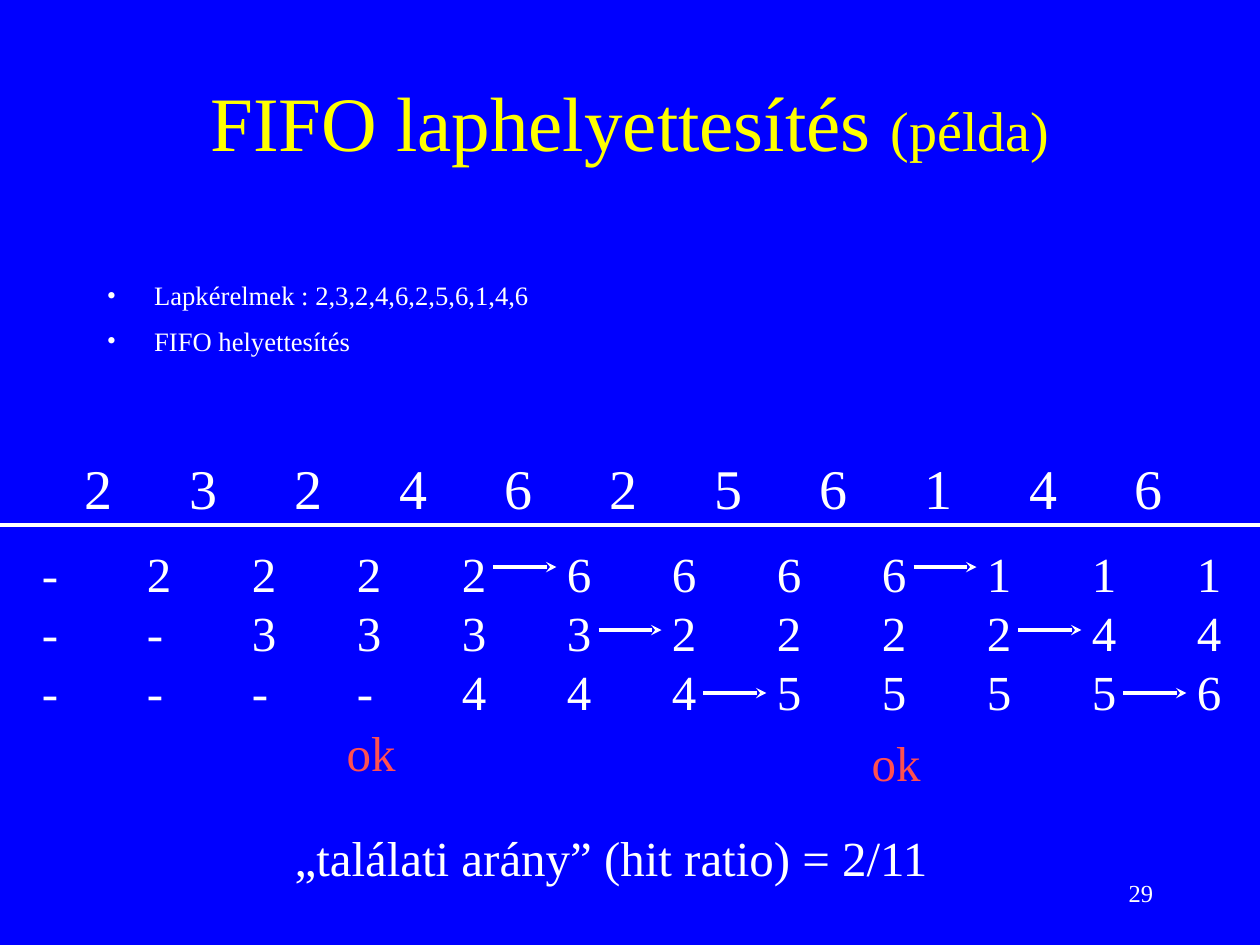
"""Builds the FIFO page replacement example slide."""
from lxml.etree import SubElement
from pptx import Presentation
from pptx.dml.color import RGBColor
from pptx.enum.shapes import MSO_CONNECTOR
from pptx.enum.text import MSO_ANCHOR, PP_ALIGN
from pptx.oxml.ns import qn
from pptx.util import Pt

BLUE = RGBColor(0x00, 0x00, 0xFF)
YELLOW = RGBColor(0xFF, 0xFF, 0x00)
WHITE = RGBColor(0xFF, 0xFF, 0xFF)
RED = RGBColor(0xFF, 0x50, 0x50)
FONT = "Times New Roman"
COLUMN = 60
ROW = 36

deck = Presentation()
deck.slide_width, deck.slide_height = Pt(720), Pt(540)
slide = deck.slides.add_slide(deck.slide_layouts[6])
slide.background.fill.solid()
slide.background.fill.fore_color.rgb = BLUE


def add_text(left, top, width, height, lines, color=WHITE, align=PP_ALIGN.LEFT,
             anchor=MSO_ANCHOR.TOP, wrap=False):
    frame = slide.shapes.add_textbox(Pt(left), Pt(top), Pt(width), Pt(height)).text_frame
    frame.word_wrap = wrap
    frame.vertical_anchor = anchor
    for index, runs in enumerate(lines):
        paragraph = frame.add_paragraph() if index else frame.paragraphs[0]
        paragraph.alignment = align
        for text, size in runs:
            run = paragraph.add_run()
            run.text = text
            run.font.name = FONT
            run.font.size = Pt(size)
            run.font.color.rgb = color
        if "\t" in runs[0][0]:
            tabs = SubElement(paragraph._p.get_or_add_pPr(), qn("a:tabLst"))
            for stop in range(1, 12):
                SubElement(tabs, qn("a:tab"), pos=str(Pt(stop * COLUMN)), algn="l")
    return frame


def add_line(left, top, length):
    line = slide.shapes.add_connector(
        MSO_CONNECTOR.STRAIGHT, Pt(left), Pt(top), Pt(left + length), Pt(top))
    line.line.color.rgb = WHITE
    line.line.width = Pt(2)
    SubElement(line._element.spPr, qn("a:effectLst"))
    return line


add_text(54, 24, 612, 90, [[("FIFO laphelyettesítés ", 44), ("(példa)", 32)]],
         YELLOW, PP_ALIGN.CENTER, MSO_ANCHOR.MIDDLE, True)

conditions = add_text(54, 156, 612, 54, [
    [("Lapkérelmek : 2,3,2,4,6,2,5,6,1,4,6", 15.2)],
    [("FIFO helyettesítés", 15.2)],
], wrap=True)
for condition in conditions.paragraphs:
    properties = condition._p.get_or_add_pPr()
    properties.set("marL", str(Pt(27)))
    properties.set("indent", str(Pt(-27)))
    SubElement(properties, qn("a:buFont"), typeface=FONT)
    SubElement(properties, qn("a:buChar"), char="•")
conditions.paragraphs[1].space_before = Pt(8)

requests = "23246256146"
frames = ["-22226666111", "--3333222244", "----44455556"]
add_text(16.8, 307.2, 703, 108, [[("\t".join(pages), 28)] for pages in frames], wrap=True)
add_text(41, 255.5, 631, 45, [[("\t".join(requests), 32)]])
add_line(0, 300, 720)

for left, top in [(491, 415.2), (191, 409.2)]:
    add_text(left, top, 42.5, 41, [[("ok", 28)]], RED)
add_text(161.3, 469.5, 377, 41, [[("„találati arány” (hit ratio) = 2/11", 28)]])

for row, replaced_columns in enumerate([(4, 8), (5, 9), (6, 10)]):
    for column in replaced_columns:
        replacement = add_line(42 + column * COLUMN, 324 + row * ROW, 36)
        SubElement(replacement.line._get_or_add_ln(), qn("a:tailEnd"), type="stealth")

add_text(516, 492, 150, 36, [[("29", 14)]], align=PP_ALIGN.RIGHT,
         anchor=MSO_ANCHOR.MIDDLE, wrap=True)

deck.save("out.pptx")
